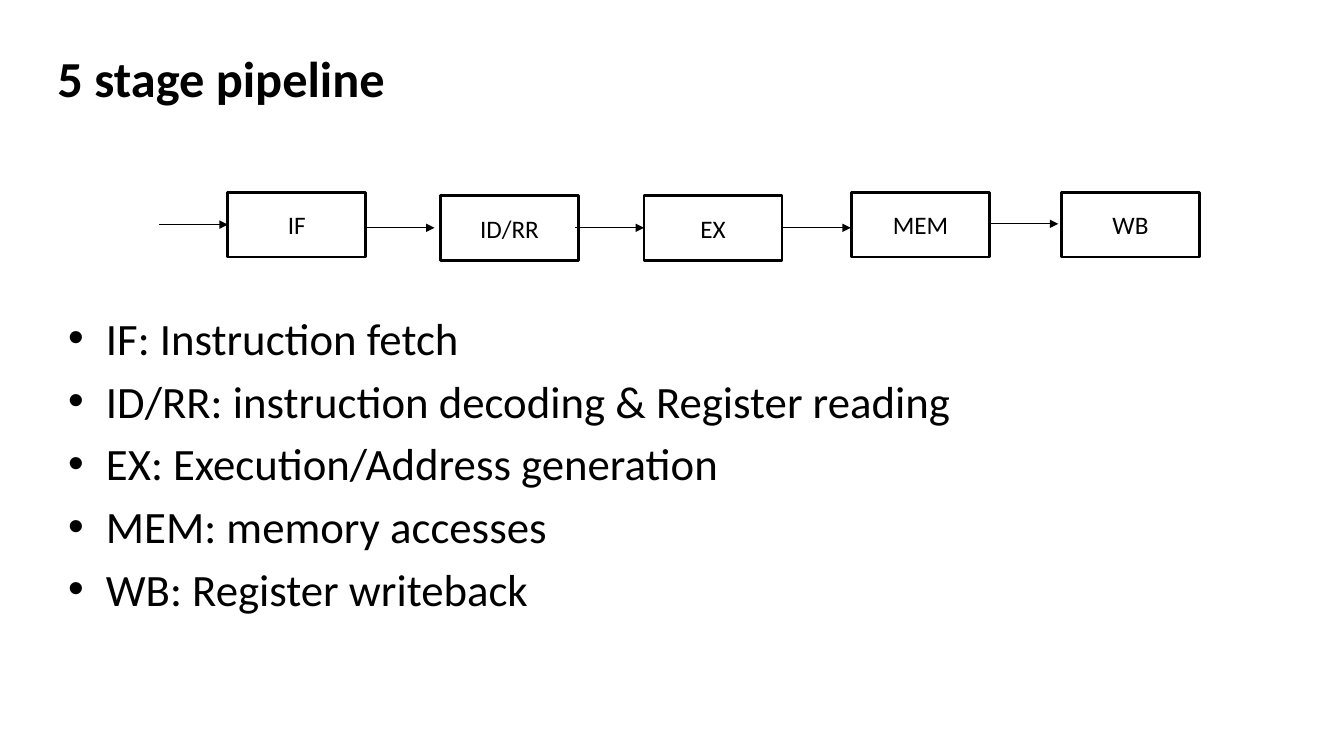
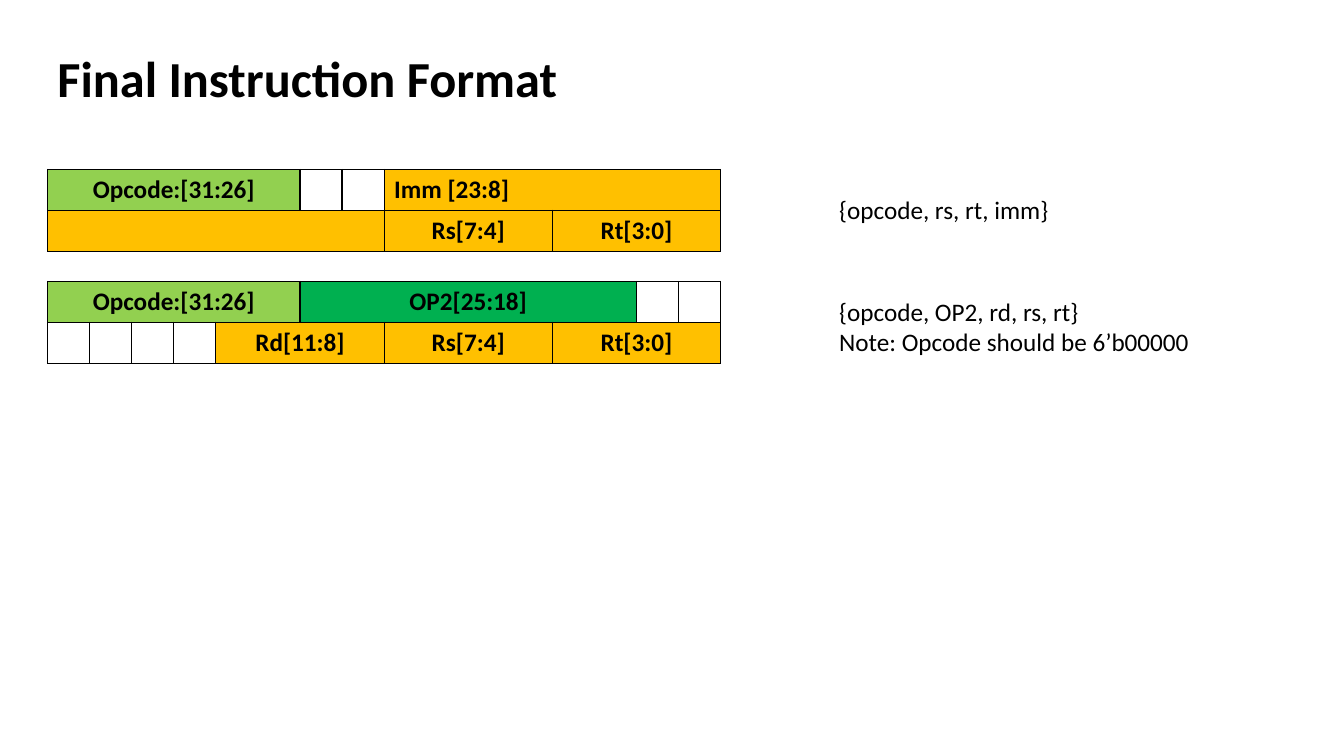
import itertools
import pptx
import pptx.util
import pptx.dml.color
import pptx.enum.shapes
import pptx.enum.text
import pptx.oxml
import pptx.oxml.ns
import lxml.etree

Cm, Pt = pptx.util.Cm, pptx.util.Pt
ALIGN = pptx.enum.text.PP_ALIGN
ANCHOR = pptx.enum.text.MSO_ANCHOR

# Content: pipeline slide
PIPELINE_TITLE = "5 stage pipeline"
STAGES = [  # name, left, top, arrow start x, arrow y
    ("IF", 5.74, 4.85, 4.01, 5.66),
    ("ID/RR", 11.1, 4.93, 9.22, 5.74),
    ("EX", 16.23, 4.93, 14.5, 5.74),
    ("MEM", 21.46, 4.85, 19.71, 5.74),
    ("WB", 26.75, 4.85, 24.94, 5.64),
]
STAGE_NOTES = [
    "IF: Instruction fetch",
    "ID/RR: instruction decoding & Register reading",
    "EX: Execution/Address generation",
    "MEM: memory accesses",
    "WB: Register writeback",
]

# Content: instruction format slide
BLACK, WHITE = "000000", "FFFFFF"
LIME, GREEN, AMBER = "92D050", "00B050", "FFC000"
C, L = ALIGN.CENTER, ALIGN.LEFT
FORMAT_TITLE = "Final Instruction Format"
UNUSED = ("", 1, None, L)
OPCODE = ("Opcode:[31:26]", 6, LIME, C)
SOURCES = [("Rs[7:4]", 4, AMBER, C), ("Rt[3:0]", 4, AMBER, C)]
FORMATS = [  # top, rows of (text, bits, fill, alignment)
    (4.27, [[OPCODE, UNUSED, UNUSED, ("Imm [23:8]", 8, AMBER, L)],
            [("", 8, AMBER, L)] + SOURCES]),
    (7.09, [[OPCODE, ("OP2[25:18]", 8, GREEN, C), UNUSED, UNUSED],
            [UNUSED] * 4 + [("Rd[11:8]", 4, AMBER, C)] + SOURCES]),
]
FORMAT_NOTES = [  # top, height, lines
    (4.78, 1.02, ["{opcode, rs, rt, imm}"]),
    (7.34, 1.8, ["{opcode, OP2, rd, rs, rt}", "Note: Opcode should be 6\u2019b00000"]),
]

# Shared measures, in cm
MARGIN = 1.2
STAGE_W, STAGE_H, ARROW_W = 3.48, 1.63, 1.73
BIT_W, ROW_H = 1.06, 1.03


def color(hex_code):
    return pptx.dml.color.RGBColor.from_string(hex_code)


def write(tf, lines, size=18, bold=False, align=L, bullet=False, before=0):
    for i, line in enumerate(lines):
        p = tf.paragraphs[0] if i == 0 else tf.add_paragraph()
        p.alignment = align
        p.space_before = Pt(before)
        if bullet:
            pPr = p._p.get_or_add_pPr()
            pPr.set("marL", str(Cm(0.95)))
            pPr.set("indent", str(-Cm(0.95)))
            font = lxml.etree.SubElement(pPr, pptx.oxml.ns.qn("a:buFont"))
            font.set("typeface", "Arial")
            char = lxml.etree.SubElement(pPr, pptx.oxml.ns.qn("a:buChar"))
            char.set("char", "\u2022")
        r = p.add_run()
        r.text = line
        r.font.name, r.font.size, r.font.bold = "Calibri", Pt(size), bold
        r.font.color.rgb = color(BLACK)


def add_text(s, x, y, w, h, lines, anchor=ANCHOR.TOP, **fmt):
    tf = s.shapes.add_textbox(Cm(x), Cm(y), Cm(w), Cm(h)).text_frame
    tf.word_wrap = True
    tf.vertical_anchor = anchor
    write(tf, lines, **fmt)


def add_slide(title):
    s = prs.slides.add_slide(prs.slide_layouts[6])
    add_text(s, MARGIN, 0.9, 30.48, 2.1, [title], anchor=ANCHOR.MIDDLE, size=36, bold=True)
    return s


def add_stage(s, name, x, y):
    sp = s.shapes.add_shape(pptx.enum.shapes.MSO_SHAPE.RECTANGLE,
                            Cm(x), Cm(y), Cm(STAGE_W), Cm(STAGE_H))
    sp.shadow.inherit = False
    sp.fill.solid()
    sp.fill.fore_color.rgb = color(WHITE)
    sp.line.color.rgb = color(BLACK)
    sp.line.width = Pt(2)
    sp.text_frame.vertical_anchor = ANCHOR.MIDDLE
    write(sp.text_frame, [name], align=C)


def add_arrow(s, x, y):
    line = s.shapes.add_connector(pptx.enum.shapes.MSO_CONNECTOR.STRAIGHT,
                                  Cm(x), Cm(y), Cm(x + ARROW_W), Cm(y))
    line.line.color.rgb = color(BLACK)
    line.line.width = Pt(0.75)
    ln = line.line._get_or_add_ln()
    lxml.etree.SubElement(ln, pptx.oxml.ns.qn("a:tailEnd")).set("type", "triangle")
    lxml.etree.SubElement(line._element.spPr, pptx.oxml.ns.qn("a:effectLst"))


def add_borders(cell):
    tcPr = cell._tc.get_or_add_tcPr()
    for side in ("lnL", "lnR", "lnT", "lnB"):
        tcPr.append(pptx.oxml.parse_xml(
            f'<a:{side} {pptx.oxml.ns.nsdecls("a")} w="{Pt(1)}"><a:solidFill>'
            f'<a:srgbClr val="{BLACK}"/></a:solidFill></a:{side}>'))


def add_format(s, top, rows):
    # Columns break wherever a field of either row ends
    ends = [list(itertools.accumulate(field[1] for field in row)) for row in rows]
    edges = sorted({0}.union(*ends))
    shape = s.shapes.add_table(len(rows), len(edges) - 1, Cm(MARGIN), Cm(top),
                               Cm(BIT_W * edges[-1]), Cm(ROW_H * len(rows)))
    table = shape.table
    table.first_row = table.horz_banding = False
    for col, (start, end) in zip(table.columns, itertools.pairwise(edges)):
        col.width = Cm(BIT_W * (end - start))
    for i, row in enumerate(rows):
        table.rows[i].height = Cm(ROW_H)
        for (text, bits, fill, align), end in zip(row, ends[i]):
            first, last = edges.index(end - bits), edges.index(end) - 1
            for j in range(first, last + 1):
                cell = table.cell(i, j)
                add_borders(cell)
                if fill:
                    cell.fill.solid()
                    cell.fill.fore_color.rgb = color(fill)
                else:
                    cell.fill.background()
            cell = table.cell(i, first)
            if last > first:
                cell.merge(table.cell(i, last))
            if text:
                write(cell.text_frame, [text], bold=True, align=align)


prs = pptx.Presentation()
prs.slide_width, prs.slide_height = Cm(33.87), Cm(19.05)

# Pipeline slide
s = add_slide(PIPELINE_TITLE)
add_text(s, 1.47, 7.7, 28.75, 9.86, STAGE_NOTES, size=32, bullet=True, before=6.4)
for name, x, y, _, _ in STAGES:
    add_stage(s, name, x, y)
for _, _, _, x, y in STAGES:
    add_arrow(s, x, y)

# Instruction format slide
s = add_slide(FORMAT_TITLE)
for top, height, lines in FORMAT_NOTES:
    add_text(s, 20.9, top, 9.5, height, lines)
for top, rows in FORMATS:
    add_format(s, top, rows)

prs.save("out.pptx")
